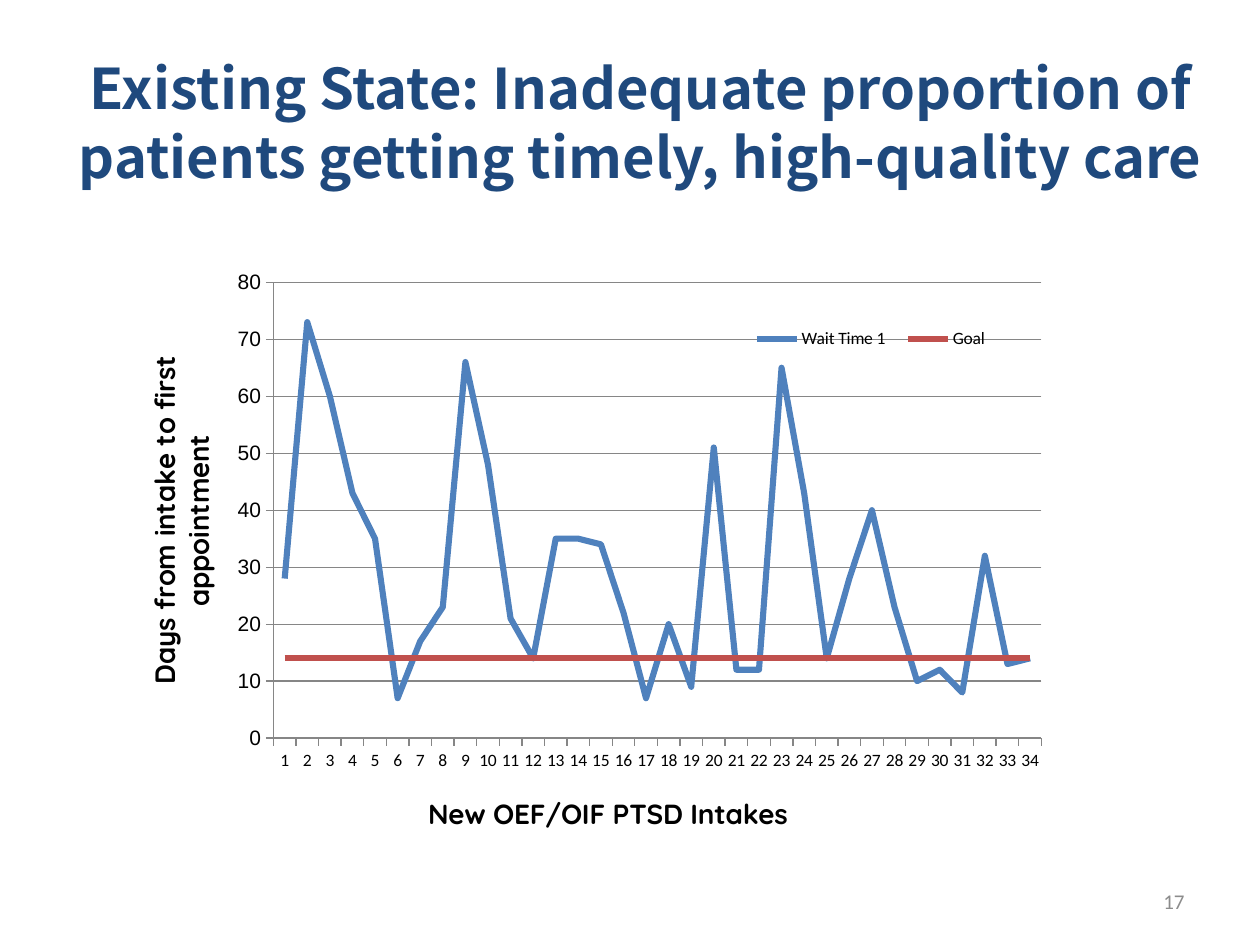
from dataclasses import dataclass

from lxml.etree import SubElement
from pptx import Presentation
from pptx.chart.data import CategoryChartData
from pptx.dml.color import RGBColor
from pptx.enum.chart import XL_CHART_TYPE as ChartType
from pptx.enum.chart import XL_LEGEND_POSITION as LegendPosition
from pptx.enum.chart import XL_MARKER_STYLE as MarkerStyle
from pptx.enum.chart import XL_TICK_MARK as TickMark
from pptx.enum.text import MSO_ANCHOR as Anchor
from pptx.enum.text import MSO_AUTO_SIZE as AutoSize
from pptx.enum.text import PP_ALIGN as Align
from pptx.oxml.ns import qn
from pptx.util import Inches, Pt


@dataclass(frozen=True)
class Theme:
    heading: str = "1F497D"
    text: str = "000000"
    muted: str = "8C8C8C"
    grid: str = "868686"
    wait: str = "4F81BD"
    goal: str = "C0504D"
    heading_font: str = "Noto Sans CJK JP"
    body_font: str = "Calibri"
    axis_font: str = "Arial"
    label_font: str = "Quicksand"
    heading_size: float = 32
    label_size: float = 16
    axis_size: float = 12
    small_size: float = 10


THEME = Theme()
WIDTH, HEIGHT = Inches(10), Inches(7.5)
GOAL_DAYS = 14
WAIT_DAYS = [28, 73, 60, 43, 35, 7, 17, 23, 66, 48, 21, 14, 35, 35, 34, 22, 7,
             20, 9, 51, 12, 12, 65, 43, 14, 28, 40, 23, 10, 12, 8, 32, 13, 14]


def box(left, top, width, height):
    """Turn shares of the slide into a position and size."""
    return (int(left * WIDTH), int(top * HEIGHT),
            int(width * WIDTH), int(height * HEIGHT))


def style_font(font, name, size, color, bold=False):
    font.name, font.size, font.bold = name, Pt(size), bold
    font.color.rgb = RGBColor.from_string(color)


def style_line(line, color, width):
    line.color.rgb = RGBColor.from_string(color)
    line.width = Pt(width)


def set_layout(element, index, inner=False, **shares):
    """Place a chart part by shares of the chart's size."""
    for old in element.findall(qn("c:layout")):
        element.remove(old)
    layout = element.makeelement(qn("c:layout"))
    element.insert(index, layout)
    manual = SubElement(layout, qn("c:manualLayout"))
    settings = {"layoutTarget": "inner"} if inner else {}
    settings |= {"xMode": "edge", "yMode": "edge"} | shares
    for tag, value in settings.items():
        SubElement(manual, qn(f"c:{tag}")).set("val", str(value))


def add_title(slide, text):
    title = slide.shapes.title
    title.left, title.top, title.width, title.height = box(0.025, 0.044, 0.967, 0.077)
    frame = title.text_frame
    frame.auto_size, frame.word_wrap = AutoSize.NONE, True
    frame.vertical_anchor = Anchor.TOP
    frame.margin_top = Inches(0.09)
    paragraph = frame.paragraphs[0]
    paragraph.alignment = Align.CENTER
    paragraph.line_spacing = Pt(39)
    run = paragraph.add_run()
    run.text = text
    style_font(run.font, THEME.heading_font, THEME.heading_size, THEME.heading, True)


def add_page_number(slide, number):
    frame = slide.shapes.add_textbox(*box(0.717, 0.927, 0.233, 0.053)).text_frame
    frame.word_wrap = True
    frame.vertical_anchor = Anchor.MIDDLE
    paragraph = frame.paragraphs[0]
    paragraph.alignment = Align.RIGHT
    run = paragraph.add_run()
    run.text = str(number)
    style_font(run.font, THEME.body_font, THEME.axis_size, THEME.muted)


def style_axis(axis, title, font, size, x, y):
    axis.major_tick_mark, axis.minor_tick_mark = TickMark.OUTSIDE, TickMark.NONE
    style_line(axis.format.line, THEME.grid, 0.75)
    style_font(axis.tick_labels.font, font, size, THEME.text)
    frame = axis.axis_title.text_frame
    run = frame.paragraphs[0].add_run()
    run.text = title
    style_font(run.font, THEME.label_font, THEME.label_size, THEME.text, True)
    set_layout(axis.axis_title._element, 1, x=x, y=y)
    return frame


def add_wait_chart(slide):
    data = CategoryChartData()
    data.categories = [str(n) for n in range(1, len(WAIT_DAYS) + 1)]
    data.add_series("Wait Time 1", WAIT_DAYS)
    data.add_series("Goal", [GOAL_DAYS] * len(WAIT_DAYS))
    chart = slide.shapes.add_chart(
        ChartType.LINE, *box(0.067, 0.277, 0.867, 0.611), data).chart
    chart.has_title = False
    style_font(chart.font, THEME.body_font, THEME.small_size, THEME.text)

    # Plot and series
    plot = chart.plots[0]
    plot.vary_by_categories = False
    for series, color in zip(plot.series, (THEME.wait, THEME.goal)):
        series.smooth = False
        series.marker.style = MarkerStyle.NONE
        style_line(series.format.line, color, 3.5)
    plot_area = chart._chartSpace.chart.plotArea
    set_layout(plot_area, 0, inner=True, x=0.173, y=0.036, w=0.703, h=0.796)

    # Axes
    style_axis(chart.category_axis, "New OEF/OIF PTSD Intakes",
               THEME.body_font, THEME.small_size, 0.31, 0.92)
    days = chart.value_axis
    frame = style_axis(days, "Days from intake to first appointment",
                       THEME.axis_font, THEME.axis_size, 0.05, 0.16)
    frame._txBody.bodyPr.set("rot", "-5400000")
    days.minimum_scale, days.maximum_scale, days.major_unit = 0, 80, 10
    days.has_major_gridlines = True
    style_line(days.major_gridlines.format.line, THEME.grid, 0.75)

    # Legend inside the plot
    chart.has_legend = True
    chart.legend.position = LegendPosition.RIGHT
    chart.legend.include_in_layout = False
    style_font(chart.legend.font, THEME.body_font, THEME.small_size, THEME.text)
    set_layout(chart.legend._element, 1, x=0.6, y=0.1, w=0.24, h=0.07)


def main():
    presentation = Presentation()
    presentation.slide_width, presentation.slide_height = WIDTH, HEIGHT
    slide = presentation.slides.add_slide(presentation.slide_layouts[5])
    add_wait_chart(slide)
    add_title(slide, "Existing State: Inadequate proportion of "
                     "patients getting timely, high-quality care")
    add_page_number(slide, 17)
    presentation.save("out.pptx")


if __name__ == "__main__":
    main()
